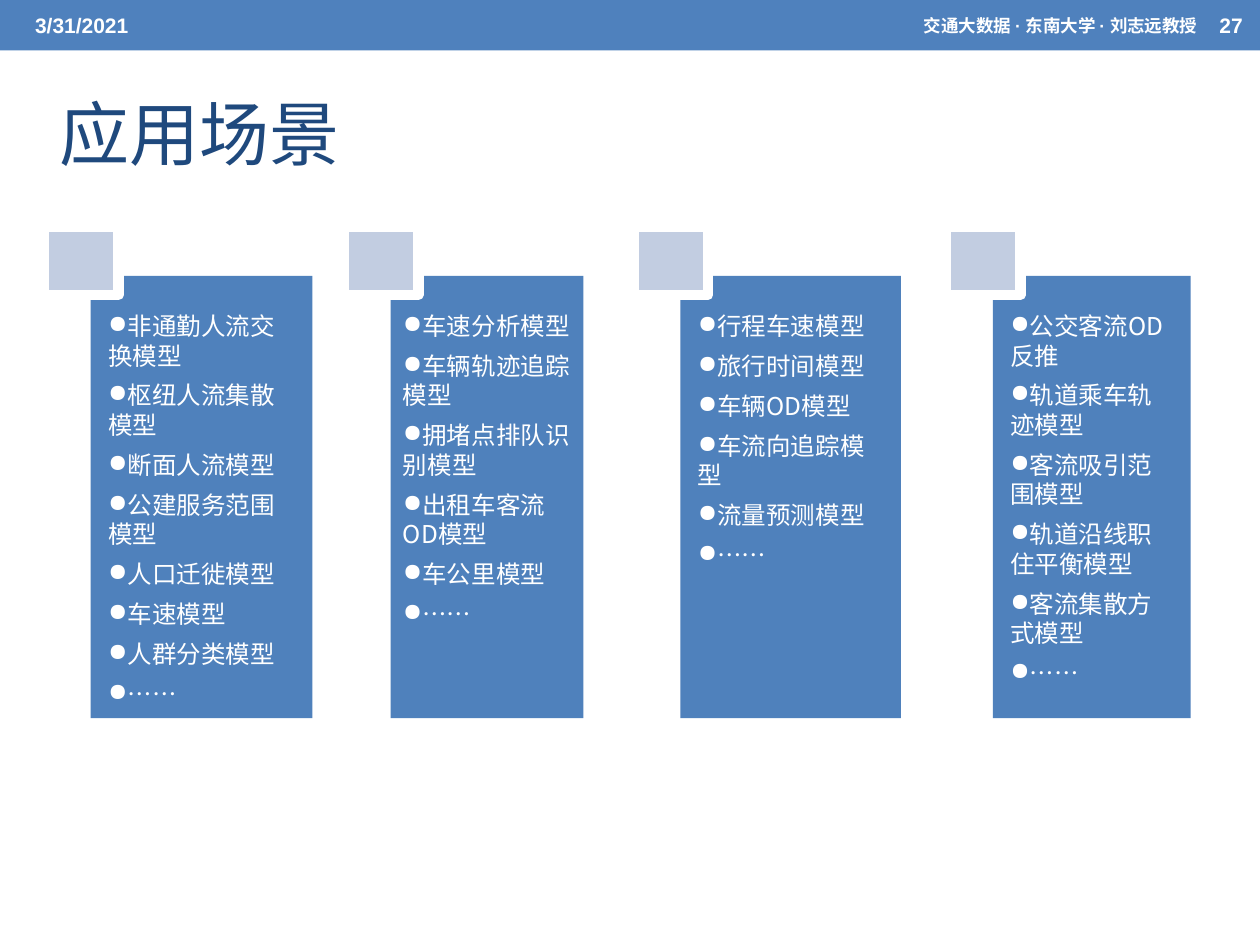
from lxml import etree
from pptx import Presentation
from pptx.dml.color import RGBColor
from pptx.enum.shapes import MSO_SHAPE
from pptx.enum.text import MSO_ANCHOR, PP_ALIGN
from pptx.oxml.ns import qn
from pptx.util import Inches, Pt

RECTANGLE = MSO_SHAPE.RECTANGLE
MIDDLE, TOP = MSO_ANCHOR.MIDDLE, MSO_ANCHOR.TOP
LEFT, RIGHT = PP_ALIGN.LEFT, PP_ALIGN.RIGHT

LATIN_FONT, CHINESE_FONT = "Arial", "Noto Sans CJK SC"
WHITE, HEADER_BLUE, PANEL_BLUE = "FFFFFF", "4F81BD", "4F81BC"
TITLE_BLUE, PALE_BLUE = "1F497D", "C2CDE1"

TITLE = "应用场景"
HEADER = [
    ("3/31/2021", 0.18, 3.17, 12, LEFT),
    ("27", 9.58, 0.42, 12, LEFT),
    ("交通大数据 · 东南大学 · 刘志远教授", 4.32, 5.28, 10, RIGHT),
]
# panel left, panel width, text left, text width, text height, models
PANELS = [
    (0.72, 1.76, 0.76, 1.69, 3.28, [
        "非通勤人流交换模型", "枢纽人流集散模型", "断面人流模型", "公建服务范围模型",
        "人口迁徙模型", "车速模型", "人群分类模型", "……"]),
    (3.1, 1.53, 3.1, 1.53, 2.88, [
        "车速分析模型", "车辆轨迹追踪模型", "拥堵点排队识别模型",
        "出租车客流OD模型", "车公里模型", "……"]),
    (5.4, 1.75, 5.44, 1.71, 2.17, [
        "行程车速模型", "旅行时间模型", "车辆OD模型",
        "车流向追踪模型", "流量预测模型", "……"]),
    (7.88, 1.57, 7.92, 1.5, 3.11, [
        "公交客流OD反推", "轨道乘车轨迹模型", "客流吸引范围模型",
        "轨道沿线职住平衡模型", "客流集散方式模型", "……"]),
]
PANEL_TOP, PANEL_HEIGHT, TEXT_TOP = 2.19, 3.51, 2.42
SQUARE_OFFSET, SQUARE_TOP, SQUARE_WIDTH, SQUARE_HEIGHT = 0.37, 1.8, 0.59, 0.54


def color(value):
    return RGBColor.from_string(value)


def add_rectangle(slide, box, fill, line=None):
    shape = slide.shapes.add_shape(RECTANGLE, *map(Inches, box))
    shape.shadow.inherit = False
    shape.fill.solid()
    shape.fill.fore_color.rgb = color(fill)
    if line:
        shape.line.color.rgb = color(line)
        shape.line.width = Pt(6)
    else:
        shape.line.fill.background()


def add_bullet(paragraph):
    properties = paragraph._p.get_or_add_pPr()
    properties.set("marL", "0")
    properties.set("indent", str(Inches(-0.16)))
    etree.SubElement(properties, qn("a:buChar")).set("char", "●")


def set_font(paragraph, name, size, fill, bold=False):
    font = paragraph.font
    font.name, font.size, font.bold = name, Pt(size), bold
    font.color.rgb = color(fill)
    if name == CHINESE_FONT:
        defaults = paragraph._p.pPr.find(qn("a:defRPr"))
        etree.SubElement(defaults, qn("a:ea")).set("typeface", name)


def add_text_frame(slide, box, anchor):
    frame = slide.shapes.add_textbox(*map(Inches, box)).text_frame
    frame.word_wrap = True
    frame.vertical_anchor = anchor
    return frame


def add_header(slide):
    add_rectangle(slide, (0, 0, 10, 0.4), HEADER_BLUE)
    for text, left, width, size, alignment in HEADER:
        frame = add_text_frame(slide, (left, 0.02, width, 0.36), MIDDLE)
        paragraph = frame.paragraphs[0]
        paragraph.text = text
        paragraph.alignment = alignment
        set_font(paragraph, LATIN_FONT, size, WHITE, bold=True)


def add_title(slide):
    title = slide.shapes.title
    title.left, title.top, title.width, title.height = map(
        Inches, (0.37, 0.66, 8.5, 0.78))
    title.text_frame.vertical_anchor = MIDDLE
    paragraph = title.text_frame.paragraphs[0]
    paragraph.text = TITLE
    paragraph.alignment = LEFT
    set_font(paragraph, CHINESE_FONT, 40, TITLE_BLUE)


def add_panel(slide, left, width, text_left, text_width, text_height, models):
    add_rectangle(slide, (left, PANEL_TOP, width, PANEL_HEIGHT), PANEL_BLUE)
    square = (left - SQUARE_OFFSET, SQUARE_TOP, SQUARE_WIDTH, SQUARE_HEIGHT)
    add_rectangle(slide, square, PALE_BLUE, WHITE)
    frame = add_text_frame(
        slide, (text_left, TEXT_TOP, text_width, text_height), TOP)
    for index, model in enumerate(models):
        paragraph = frame.add_paragraph() if index else frame.paragraphs[0]
        paragraph.text = model
        paragraph.line_spacing = Pt(16.8)
        paragraph.space_after = Pt(6)
        add_bullet(paragraph)
        set_font(paragraph, CHINESE_FONT, 14, WHITE)


def main():
    """Build the slide of application scenarios in four panels."""
    presentation = Presentation()
    presentation.slide_width, presentation.slide_height = Inches(10), Inches(7.5)
    slide = presentation.slides.add_slide(presentation.slide_layouts[5])
    add_header(slide)
    add_title(slide)
    for panel in PANELS:
        add_panel(slide, *panel)
    presentation.save("out.pptx")


if __name__ == "__main__":
    main()
